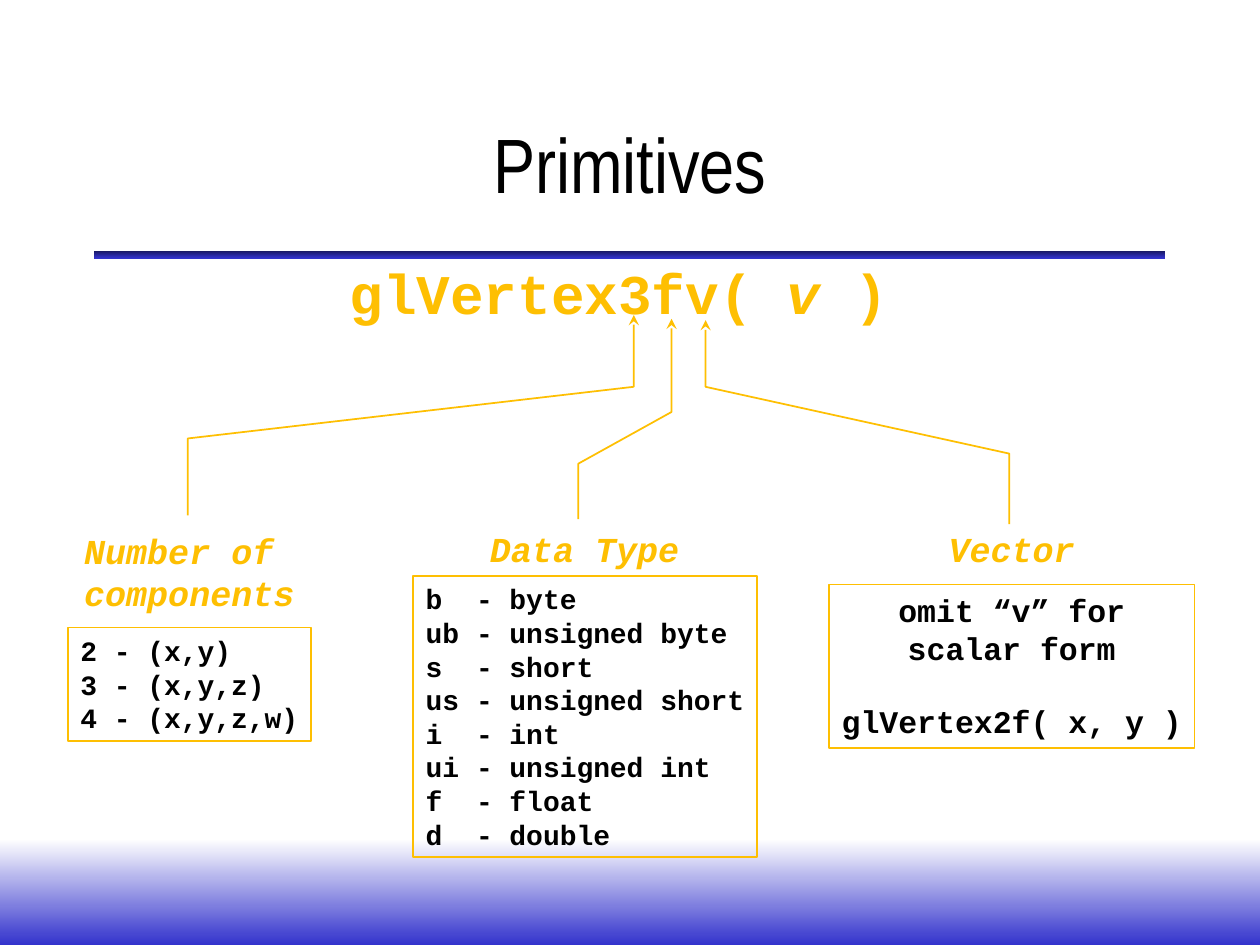
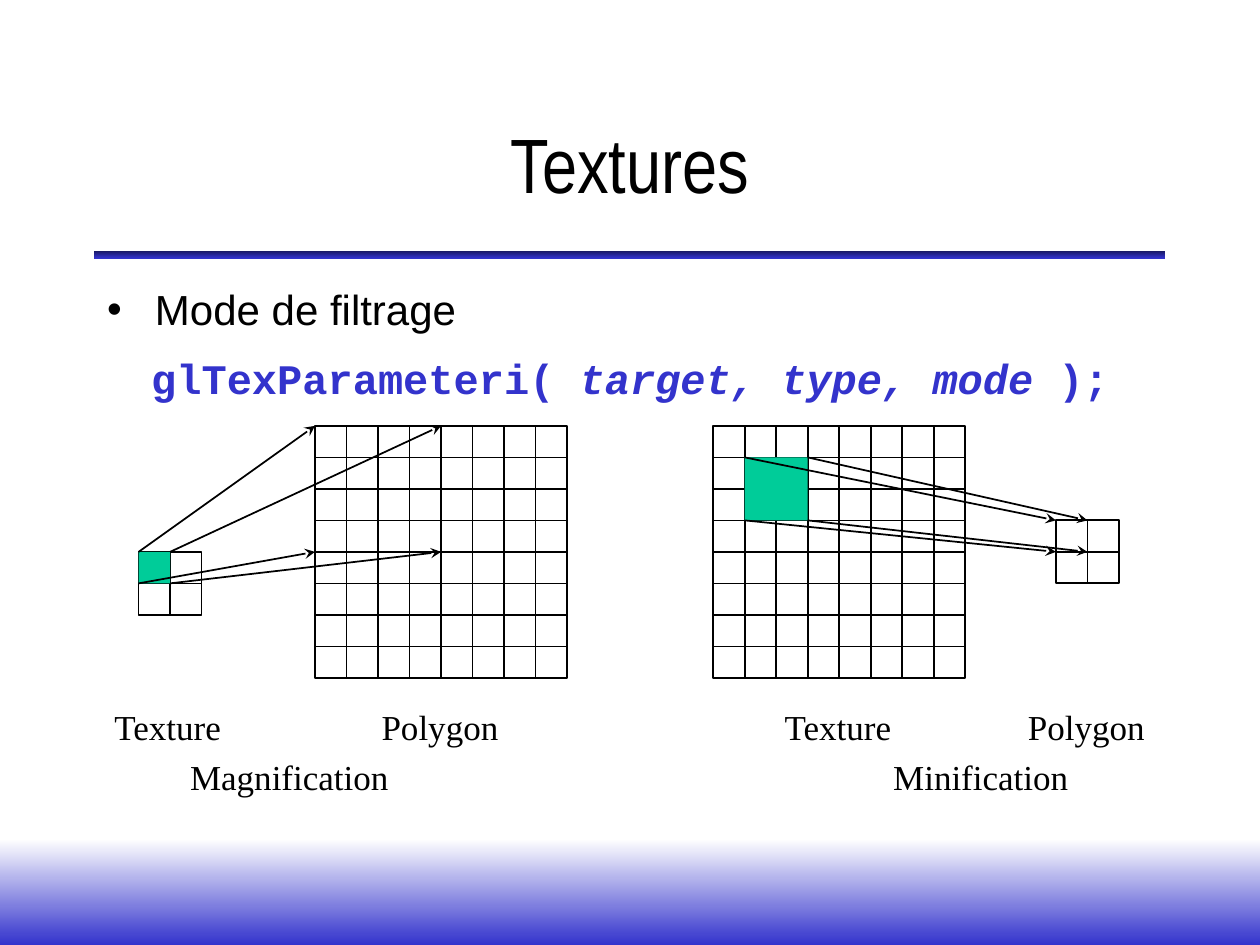
from dataclasses import dataclass, replace
from math import isclose

from lxml import etree
from pptx import Presentation
from pptx import util as u
from pptx.dml.color import RGBColor
from pptx.enum import shapes, text
from pptx.oxml.ns import qn

COLUMNS, ROWS = 100, 75  # square layout units over the whole slide
UNIT = u.Inches(10) // COLUMNS
CELL = 2.5  # side of one texel or pixel, in layout units


@dataclass(frozen=True)
class Style:
    font: str
    size: int
    color: str
    bold: bool = False
    italic: bool = False


@dataclass(frozen=True)
class Theme:
    white: str = "FFFFFF"
    navy: str = "17175E"
    blue: str = "3333CC"
    gold: str = "FEBF02"
    green: str = "00CC99"
    black: str = "000000"
    line_width: float = 1
    title: Style = Style("Arial Narrow", 44, "000000")
    bullet: Style = Style("Arial", 24, "000000")
    caption: Style = Style("Times New Roman", 20, "000000")
    call: Style = Style("Courier New", 32, "FEBF02", bold=True)
    heading: Style = Style("Courier New", 20, "FEBF02", bold=True, italic=True)
    listing: Style = Style("Courier New", 16, "000000", bold=True)


THEME = Theme()


@dataclass(frozen=True)
class Grid:
    """A square raster of count by count cells."""
    left: float
    top: float
    count: int

    def corner(self, column, row):
        return self.left + column * CELL, self.top + row * CELL


def units(*values):
    return [round(value * UNIT) for value in values]


def rgb(value):
    return RGBColor.from_string(value)


def style_run(span, style):
    span.font.name = style.font
    span.font.size = u.Pt(style.size)
    span.font.bold = style.bold
    span.font.italic = style.italic
    span.font.color.rgb = rgb(style.color)


def style_frame(frame, style, align):
    for para in frame.paragraphs:
        para.alignment = align
        for span in para.runs:
            style_run(span, style)


def write_call(para, style, *parts):
    """Write a function call in which every second part is italic."""
    for index, part in enumerate(parts):
        span = para.add_run()
        span.text = part
        style_run(span, replace(style, italic=index % 2 == 1))


def set_line(line, color):
    line.color.rgb = rgb(color)
    line.width = u.Pt(THEME.line_width)


def add_arrowhead(line, end):
    etree.SubElement(line._get_or_add_ln(), qn(f"a:{end}"), type="stealth")


def set_tab(para, position):
    stops = etree.SubElement(para._p.get_or_add_pPr(), qn("a:tabLst"))
    etree.SubElement(stops, qn("a:tab"), pos=str(position), algn="l")


def add_rectangle(slide, *place):
    box = slide.shapes.add_shape(shapes.MSO_SHAPE.RECTANGLE, *units(*place))
    box.shadow.inherit = False
    box.fill.background()
    box.line.fill.background()
    return box


def add_band(slide, place, top_color, bottom_color):
    band = add_rectangle(slide, *place)
    band.fill.gradient()
    band.fill.gradient_angle = 270
    for stop, color in zip(band.fill.gradient_stops, (top_color, bottom_color)):
        stop.color.rgb = rgb(color)


def add_slide(deck, layout, title):
    slide = deck.slides.add_slide(deck.slide_layouts[layout])
    add_band(slide, (0, 66.6, COLUMNS, ROWS - 66.6), THEME.white, THEME.blue)
    add_band(slide, (7.5, 19.9, 85, 0.6), THEME.navy, THEME.blue)
    box = slide.shapes.title
    box.left, box.top, box.width, box.height = units(7.5, 6.7, 85, 12.5)
    frame = box.text_frame
    frame.text = title
    frame.auto_size = text.MSO_AUTO_SIZE.NONE
    frame.vertical_anchor = text.MSO_ANCHOR.MIDDLE
    style_frame(frame, THEME.title, text.PP_ALIGN.CENTER)
    return slide


def add_label(slide, place, words, style, align=text.PP_ALIGN.LEFT):
    frame = slide.shapes.add_textbox(*units(*place)).text_frame
    frame.word_wrap = False
    frame.text = words
    style_frame(frame, style, align)
    return frame


def add_listing(slide, place, lines, style, align=text.PP_ALIGN.LEFT):
    """Add a gold-edged box with one paragraph for each line."""
    box = add_rectangle(slide, *place)
    set_line(box.line, THEME.gold)
    frame = box.text_frame
    frame.word_wrap = False
    frame.vertical_anchor = text.MSO_ANCHOR.TOP
    frame.text = "\n".join(lines)
    style_frame(frame, style, align)
    return frame


def add_callout(slide, tip, turns, foot):
    """Draw a bent arrow from a heading at foot up to a letter at tip."""
    start_x, start_y = units(*tip)
    builder = slide.shapes.build_freeform(start_x, start_y)
    elbows = [(tip[0], turns[0]), (foot[0], turns[1]), foot]
    builder.add_line_segments([units(*point) for point in elbows], close=False)
    arrow = builder.convert_to_shape()
    arrow.shadow.inherit = False
    arrow.fill.background()
    set_line(arrow.line, THEME.gold)
    add_arrowhead(arrow.line, "headEnd")


def middle_side(frame, point):
    """Return the side of frame whose middle is at point, or None."""
    x, y = units(*point)
    center_x = frame.left + frame.width / 2
    center_y = frame.top + frame.height / 2
    middles = [(center_x, frame.top), (frame.left, center_y),
               (center_x, frame.top + frame.height),
               (frame.left + frame.width, center_y)]
    for side, (side_x, side_y) in enumerate(middles):
        if isclose(x, side_x, abs_tol=9) and isclose(y, side_y, abs_tol=9):
            return side
    return None


def add_line(slide, start, end, start_frame, end_frame):
    """Draw a line, joined to a frame where it meets the middle of a side."""
    line = slide.shapes.add_connector(
        shapes.MSO_CONNECTOR.STRAIGHT, *units(*start, *end))
    etree.SubElement(line._element.spPr, qn("a:effectLst"))
    set_line(line.line, THEME.black)
    for join, frame, point in ((line.begin_connect, start_frame, start),
                               (line.end_connect, end_frame, end)):
        side = middle_side(frame, point)
        if side is not None:
            join(frame, side)
    return line


def add_grid(slide, grid):
    size = grid.count * CELL
    frame = add_rectangle(slide, grid.left, grid.top, size, size)
    set_line(frame.line, THEME.black)
    for step in range(1, grid.count):
        for start, end in (((step, 0), (step, grid.count)),
                           ((0, step), (grid.count, step))):
            add_line(slide, grid.corner(*start), grid.corner(*end), frame, frame)
    return frame


def add_mapping(slide, texture, patch, polygon, target):
    """Map a patch of the texture to a target; both are (first cell, size)."""
    first, size = patch
    patch_box = add_rectangle(
        slide, *texture.corner(first, first), size * CELL, size * CELL)
    patch_box.fill.solid()
    patch_box.fill.fore_color.rgb = rgb(THEME.green)
    return [(texture.corner(first + size * column, first + size * row),
             polygon.corner(target * column, target * row))
            for row in (0, 1) for column in (0, 1)]


def add_arrows(slide, pairs, texture_frame, polygon_frame):
    for start, end in pairs:
        arrow = add_line(slide, start, end, texture_frame, polygon_frame)
        add_arrowhead(arrow.line, "tailEnd")


def build_primitives(deck):
    slide = add_slide(deck, 5, "Primitives")
    center = text.PP_ALIGN.CENTER
    call = add_label(slide, (26.7, 20, 44.8, 6.3), "", THEME.call, center)
    write_call(call.paragraphs[0], THEME.call, "glVertex3fv( ", "v", " )")

    add_label(slide, (5.7, 41.5, 18.7, 7.7), "Number of\ncomponents", THEME.heading)
    add_listing(slide, (5.4, 49.8, 19.3, 9),
                ["2 - (x,y)", "3 - (x,y,z)", "4 - (x,y,z,w)"], THEME.listing)

    add_label(slide, (37.9, 41.4, 17.1, 4.3), "Data Type", THEME.heading)
    data_types = {"b": "byte", "ub": "unsigned byte", "s": "short",
                  "us": "unsigned short", "i": "int", "ui": "unsigned int",
                  "f": "float", "d": "double"}
    types = add_listing(slide, (32.8, 45.7, 27.3, 22.3),
                        [f"{key}\t- {name}" for key, name in data_types.items()],
                        THEME.listing)
    for para in types.paragraphs:
        set_tab(para, u.Inches(0.4))

    add_label(slide, (74.3, 41.4, 12, 4.3), "Vector", THEME.heading)
    vector = add_listing(slide, (65.8, 46.4, 29, 13),
                         ["omit “v” for", "scalar form", "glVertex2f( x, y )"],
                         replace(THEME.listing, size=18), center)
    vector.paragraphs[-1].space_before = u.Pt(20.4)

    add_callout(slide, (50.3, 25), (30.7, 34.8), (14.9, 40.9))
    add_callout(slide, (53.3, 25.3), (32.7, 36.8), (45.9, 41.2))
    add_callout(slide, (56, 25.4), (30.7, 36), (80.1, 41.6))


def build_textures(deck):
    slide = add_slide(deck, 1, "Textures")
    body = slide.placeholders[1]
    body.left, body.top, body.width, body.height = units(7.5, 22, 85, 11)
    frame = body.text_frame
    frame.auto_size = text.MSO_AUTO_SIZE.NONE
    frame.text = "Mode de filtrage"
    style_frame(frame, THEME.bullet, text.PP_ALIGN.LEFT)
    call = frame.add_paragraph()
    for para, space in zip(frame.paragraphs, (0, 10.5)):
        para.space_before = u.Pt(space)
        properties = para._p.get_or_add_pPr()
        properties.set("marL", str(u.Inches(0.38)))
        properties.set("indent", str(u.Inches(-0.38)))
    call.alignment = text.PP_ALIGN.CENTER
    etree.SubElement(call._p.get_or_add_pPr(), qn("a:buNone"))
    code = replace(THEME.call, size=24, color=THEME.blue)
    write_call(call, code, "glTexParameteri( ", "target, type, mode", " );")

    # texture, polygon, patch (first cell, size), target size
    mappings = [
        (Grid(11, 43.8, 2), Grid(25, 33.8, 8), (0, 1), 4),
        (Grid(56.6, 33.8, 8), Grid(83.8, 41.3, 2), (1, 2), 1),
    ]
    for texture, polygon, patch, target in mappings:
        texture_frame = add_grid(slide, texture)
        pairs = add_mapping(slide, texture, patch, polygon, target)
        polygon_frame = add_grid(slide, polygon)
        add_arrows(slide, pairs, texture_frame, polygon_frame)

    captions = [("Texture", 8.1, 55.5, 10.7), ("Polygon", 29.3, 55.5, 11.3),
                ("Texture", 61.3, 55.5, 10.7), ("Polygon", 80.6, 55.5, 11.3),
                ("Magnification", 14.1, 59.5, 17.8),
                ("Minification", 69.9, 59.5, 15.9)]
    for words, left, top, width in captions:
        add_label(slide, (left, top, width, 4.3), words, THEME.caption)


def main():
    deck = Presentation()
    deck.slide_width, deck.slide_height = COLUMNS * UNIT, ROWS * UNIT
    build_primitives(deck)
    build_textures(deck)
    deck.save("out.pptx")


if __name__ == "__main__":
    main()
